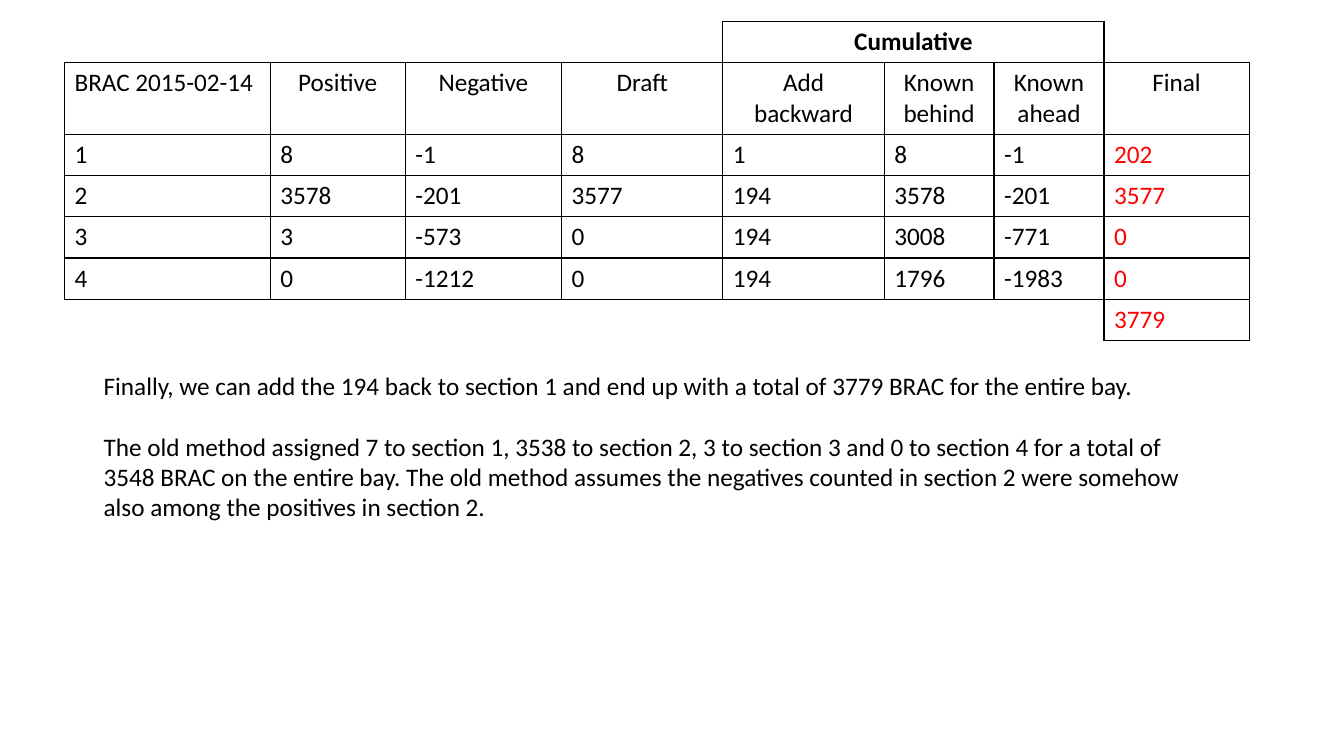
from pptx import Presentation
from pptx.dml.color import RGBColor
from pptx.enum.text import MSO_AUTO_SIZE, PP_ALIGN
from pptx.oxml import parse_xml
from pptx.oxml.ns import nsdecls
from pptx.util import Inches, Pt

BLACK = RGBColor(0x00, 0x00, 0x00)
RED = RGBColor(0xFF, 0x00, 0x00)
FONT = "Calibri"
TEXT_SIZE = Pt(18)

# Content: empty strings are open cells without a box
ROWS = [
    ["", "", "", "", "Cumulative", "", "", ""],
    ["BRAC 2015-02-14", "Positive", "Negative", "Draft",
     "Add backward", "Known behind", "Known ahead", "Final"],
    ["1", "8", "-1", "8", "1", "8", "-1", "202"],
    ["2", "3578", "-201", "3577", "194", "3578", "-201", "3577"],
    ["3", "3", "-573", "0", "194", "3008", "-771", "0"],
    ["4", "0", "-1212", "0", "194", "1796", "-1983", "0"],
    ["", "", "", "", "", "", "", "3779"],
]
COLUMN_WIDTHS = [2.04, 1.34, 1.55, 1.6, 1.6, 1.09, 1.09, 1.44]
ROW_HEIGHT = 0.41
CUMULATIVE_COLUMNS = (4, 6)
HEADER_ROW = 1
FINAL_COLUMN = len(COLUMN_WIDTHS) - 1
EXPLANATION = [
    "Finally, we can add the 194 back to section 1 and end up with a total of "
    "3779 BRAC for the entire bay.",
    "The old method assigned 7 to section 1, 3538 to section 2, 3 to section 3 "
    "and 0 to section 4 for a total of 3548 BRAC on the entire bay. The old method "
    "assumes the negatives counted in section 2 were somehow also among the "
    "positives in section 2.",
]
# Neighbour across each edge, in the order the cell properties require
EDGES = {"lnL": (0, -1), "lnR": (0, 1), "lnT": (-1, 0), "lnB": (1, 0)}


def format_text(paragraph, color=BLACK, bold=False):
    for run in paragraph.runs:
        run.font.name = FONT
        run.font.size = TEXT_SIZE
        run.font.bold = bold
        run.font.color.rgb = color


def is_boxed(row, column):
    if not (0 <= row < len(ROWS) and 0 <= column < len(COLUMN_WIDTHS)):
        return False
    first, last = CUMULATIVE_COLUMNS
    return bool(ROWS[row][column]) or (row == 0 and first <= column <= last)


def add_borders(cell, row, column):
    properties = cell._tc.get_or_add_tcPr()
    for tag, (down, right) in EDGES.items():
        if is_boxed(row, column) or is_boxed(row + down, column + right):
            paint = f'<a:solidFill><a:srgbClr val="{BLACK}"/></a:solidFill>'
        else:
            paint = "<a:noFill/>"
        properties.append(parse_xml(
            f'<a:{tag} {nsdecls("a")} w="{Pt(1)}">{paint}</a:{tag}>'))


presentation = Presentation()
presentation.slide_width = Inches(13.33)
presentation.slide_height = Inches(7.5)
slide = presentation.slides.add_slide(presentation.slide_layouts[6])

# Count table
table = slide.shapes.add_table(
    len(ROWS), len(COLUMN_WIDTHS), Inches(0.64), Inches(0.21),
    Inches(sum(COLUMN_WIDTHS)), Inches(ROW_HEIGHT * len(ROWS))).table
table.first_row = False
table.horz_banding = False
for column, width in zip(table.columns, COLUMN_WIDTHS):
    column.width = Inches(width)
for row in table.rows:
    row.height = Inches(ROW_HEIGHT)
first, last = CUMULATIVE_COLUMNS
table.cell(0, first).merge(table.cell(0, last))

for row, values in enumerate(ROWS):
    for column, value in enumerate(values):
        cell = table.cell(row, column)
        add_borders(cell, row, column)
        cell.fill.background()
        paragraph = cell.text_frame.paragraphs[0]
        paragraph.font.size = TEXT_SIZE
        if not value:
            continue
        paragraph.text = value
        if row == 0 or (row == HEADER_ROW and column > 0):
            paragraph.alignment = PP_ALIGN.CENTER
        is_result = row > HEADER_ROW and column == FINAL_COLUMN
        format_text(paragraph, RED if is_result else BLACK, bold=row == 0)

# Explanation below the table
explanation = slide.shapes.add_textbox(
    Inches(0.93), Inches(3.62), Inches(11.24), Inches(1.62)).text_frame
explanation.word_wrap = True
explanation.auto_size = MSO_AUTO_SIZE.SHAPE_TO_FIT_TEXT
explanation.text = "\n".join(EXPLANATION)
for paragraph in explanation.paragraphs:
    format_text(paragraph)
explanation.paragraphs[1].space_before = Pt(22)

presentation.save("out.pptx")
